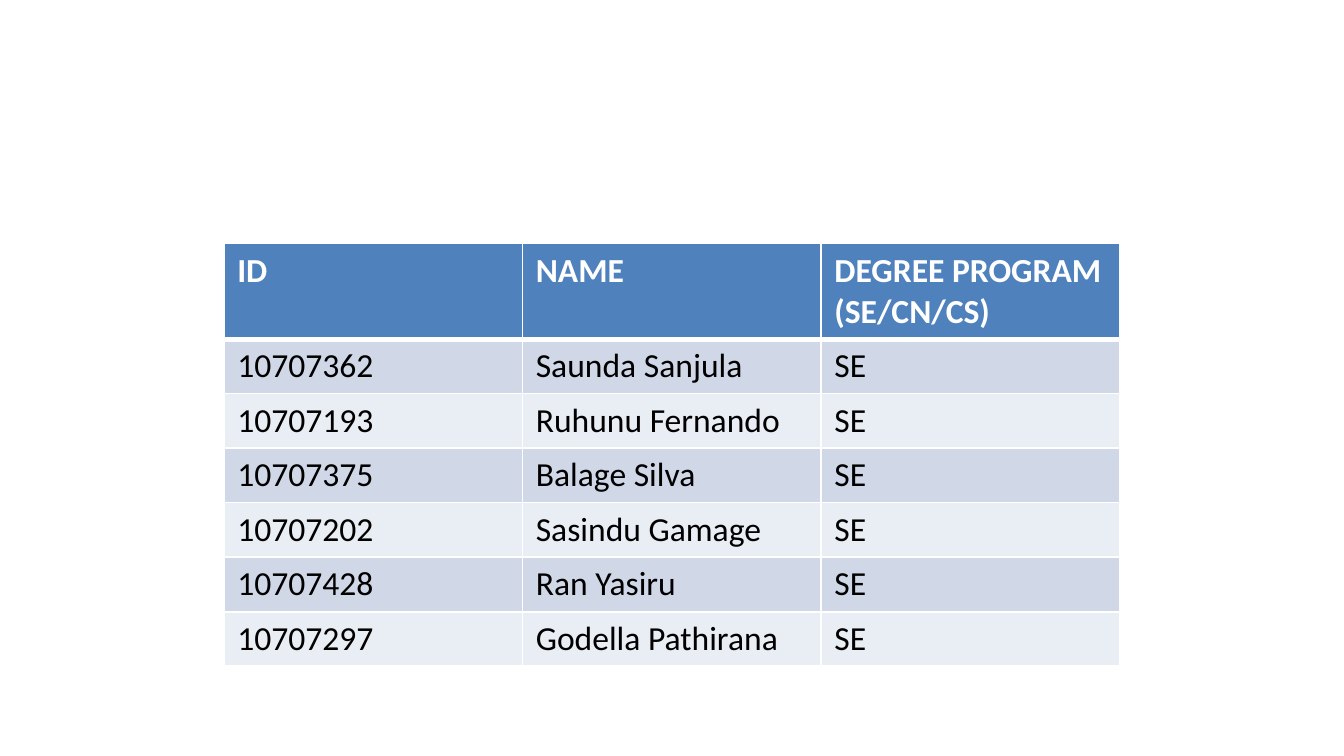
from lxml import etree
from pptx import Presentation
from pptx import util as u
from pptx.dml.color import RGBColor
from pptx.oxml import ns

HEADINGS = ("ID", "NAME", "DEGREE PROGRAM\n(SE/CN/CS)")
STUDENTS = [
    ("10707362", "Saunda Sanjula", "SE"),
    ("10707193", "Ruhunu Fernando", "SE"),
    ("10707375", "Balage Silva", "SE"),
    ("10707202", "Sasindu Gamage", "SE"),
    ("10707428", "Ran Yasiru", "SE"),
    ("10707297", "Godella Pathirana", "SE"),
]
COLORS = {
    "heading": "4F81BD",
    "odd": "D0D8E8",
    "even": "E9EDF4",
    "rule": "FFFFFF",
    "heading_text": "FFFFFF",
    "student_text": "000000",
}
FONT = {"name": "Calibri", "size": u.Pt(18)}
LEFT, TOP, WIDTH = 4.23, 4.6, 16.93
HEADING_HEIGHT, STUDENT_HEIGHT = 1.78, 1.03


def add_borders(cell, bottom):
    properties = cell._tc.get_or_add_tcPr()
    widths = {"lnL": 1, "lnR": 1, "lnT": 1, "lnB": bottom}
    for position, (side, width) in enumerate(widths.items()):
        border = etree.Element(ns.qn(f"a:{side}"), w=str(u.Pt(width)))
        fill = etree.SubElement(border, ns.qn("a:solidFill"))
        etree.SubElement(fill, ns.qn("a:srgbClr"), val=COLORS["rule"])
        properties.insert(position, border)


def fill_cell(cell, words, fill, ink, bold, bottom):
    cell.text = words
    cell.fill.solid()
    cell.fill.fore_color.rgb = RGBColor.from_string(COLORS[fill])
    for paragraph in cell.text_frame.paragraphs:
        for run in paragraph.runs:
            for key, value in {**FONT, "bold": bold}.items():
                setattr(run.font, key, value)
            run.font.color.rgb = RGBColor.from_string(COLORS[ink])
    add_borders(cell, bottom)


def main():
    deck = Presentation()
    deck.slide_width, deck.slide_height = u.Cm(25.4), u.Cm(14.28)
    slide = deck.slides.add_slide(deck.slide_layouts[6])

    heights = [HEADING_HEIGHT] + [STUDENT_HEIGHT] * len(STUDENTS)
    roster = slide.shapes.add_table(
        len(heights), len(HEADINGS),
        u.Cm(LEFT), u.Cm(TOP), u.Cm(WIDTH), u.Cm(sum(heights)),
    ).table
    for row, height in zip(roster.rows, heights):
        row.height = u.Cm(height)

    for column, heading in enumerate(HEADINGS):
        fill_cell(roster.cell(0, column), heading, "heading", "heading_text", True, 3)
    for number, student in enumerate(STUDENTS, 1):
        band = "odd" if number % 2 else "even"
        for column, detail in enumerate(student):
            fill_cell(roster.cell(number, column), detail, band, "student_text", False, 1)
            if number == 1:
                top_rule = roster.cell(1, column)._tc.tcPr.find(ns.qn("a:lnT"))
                top_rule.set("w", str(u.Pt(3)))

    deck.save("out.pptx")


if __name__ == "__main__":
    main()
